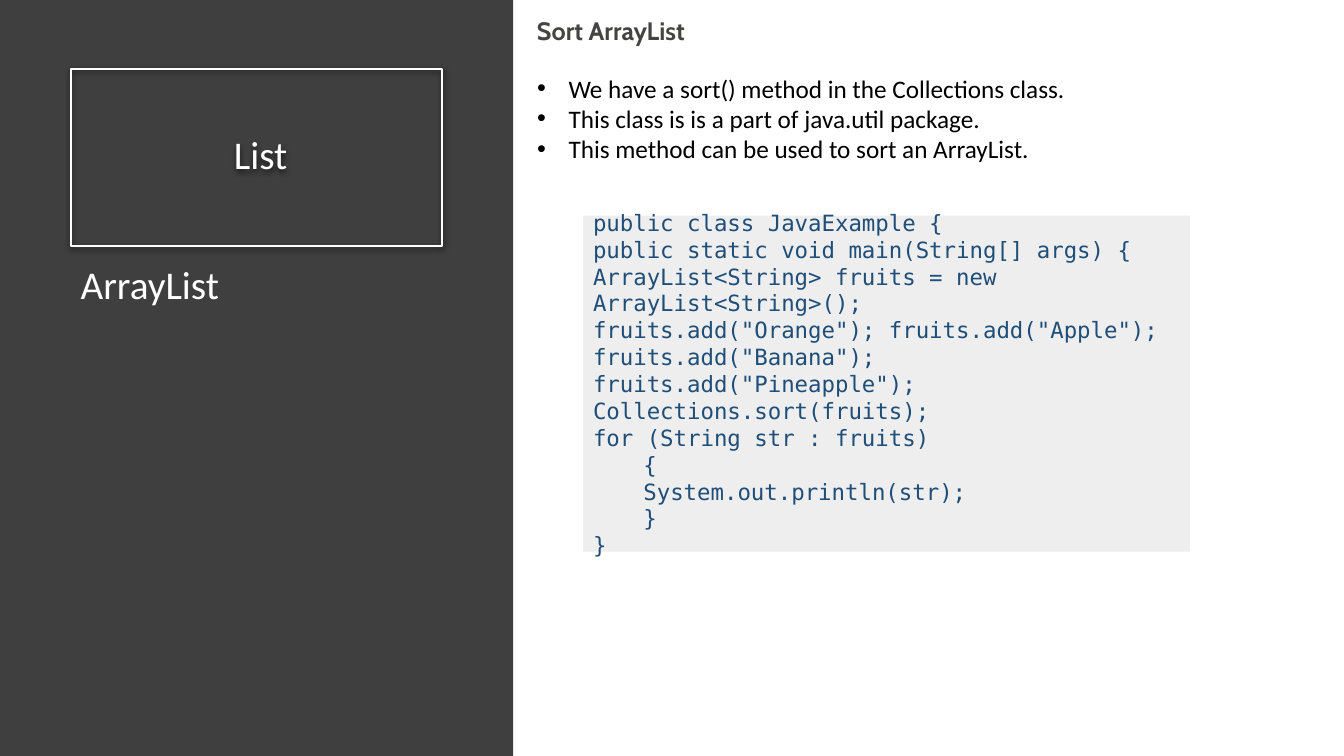
from dataclasses import dataclass
from lxml.etree import SubElement as Sub
from pptx import Presentation
from pptx.dml.color import RGBColor as Color
from pptx.enum.shapes import MSO_SHAPE as Kind
from pptx.enum.text import MSO_ANCHOR as Anchor, MSO_AUTO_SIZE as Fit, PP_ALIGN as Align
from pptx.oxml.ns import qn
from pptx.util import Pt


@dataclass(frozen=True)
class Theme:
    panel: str = "3F3F3F"
    white: str = "FFFFFF"
    black: str = "000000"
    head: str = "444542"
    box: str = "EEEEEE"
    code: str = "1F4E79"
    sans: str = "Calibri"
    bold: str = "Cabin"
    mono: str = "DejaVu Sans Mono"
    big: int = 28
    mid: int = 18
    small: int = 16


def write(frame, text, *, font, size, color, bold=False, align=Align.LEFT,
          anchor=Anchor.TOP, wrap=True, lead=1.0, before=0, indent=0):
    frame.word_wrap = wrap
    frame.auto_size = Fit.NONE
    frame.vertical_anchor = anchor
    for i, line in enumerate(text.split("\n")):
        para = frame.add_paragraph() if i else frame.paragraphs[0]
        para.alignment = align
        para.line_spacing = lead
        para.space_before = Pt(before)
        run = para.add_run()
        run.text = line
        run.font.name = font
        run.font.size = Pt(size)
        run.font.bold = bold
        run.font.color.rgb = Color.from_string(color)
        if indent:
            props = para._p.get_or_add_pPr()
            props.set("marL", str(Pt(indent)))
            props.set("indent", str(-Pt(indent)))
            Sub(props, qn("a:buFont"), typeface="Arial")
            Sub(props, qn("a:buChar"), char="•")


class Deck:
    def __init__(self, theme):
        self.theme = theme
        self.file = Presentation()
        self.file.slide_width = Pt(960)
        self.file.slide_height = Pt(540)
        self.slide = self.file.slides.add_slide(self.file.slide_layouts[5])

    def title(self, text, x, y, w, h, **style):
        shape = self.slide.shapes.title
        shape.left, shape.top, shape.width, shape.height = map(Pt, (x, y, w, h))
        shape.fill.background()
        shape.line.color.rgb = Color.from_string(self.theme.white)
        shape.line.width = Pt(1.5)
        glow = Sub(Sub(shape._element.spPr, qn("a:effectLst")), qn("a:outerShdw"),
                   blurRad=str(Pt(4.5)), dist=str(Pt(1.5)), dir="5400000",
                   algn="ctr", rotWithShape="0")
        tint = Sub(glow, qn("a:srgbClr"), val=self.theme.black)
        Sub(tint, qn("a:alpha"), val="63000")
        write(shape.text_frame, text, **style)

    def block(self, fill, x, y, w, h):
        shape = self.slide.shapes.add_shape(Kind.RECTANGLE, *map(Pt, (x, y, w, h)))
        shape.shadow.inherit = False
        shape.fill.solid()
        shape.fill.fore_color.rgb = Color.from_string(fill)
        shape.line.fill.background()
        return shape

    def panel(self, fill, *area):
        shape = self.block(fill, *area)
        self.slide.shapes.title._element.addprevious(shape._element)

    def label(self, text, x, y, w, h, **style):
        shape = self.slide.shapes.add_textbox(*map(Pt, (x, y, w, h)))
        write(shape.text_frame, text, **style)

    def code(self, text, *area, **style):
        write(self.block(self.theme.box, *area).text_frame, text, **style)


POINTS = """We have a sort() method in the Collections class.
This class is is a part of java.util package.
This method can be used to sort an ArrayList."""

CODE = """public class JavaExample {
public static void main(String[] args) {
ArrayList<String> fruits = new ArrayList<String>();
fruits.add("Orange"); fruits.add("Apple");
fruits.add("Banana"); fruits.add("Pineapple");
Collections.sort(fruits);
for (String str : fruits)
\t{
\tSystem.out.println(str);
\t}
}"""


def main():
    theme = Theme()
    deck = Deck(theme)
    side = dict(font=theme.sans, size=theme.big, color=theme.white, lead=0.9)
    deck.panel(theme.panel, 0, 0, 366.5, 540)
    deck.title(" List", 50.5, 49, 265, 126.5, align=Align.CENTER, anchor=Anchor.MIDDLE, **side)
    deck.label("ArrayList", 50.5, 186.5, 265, 343.5, before=10, **side)
    deck.label("Sort ArrayList", 376.5, 7.5, 135.5, 29, font=theme.bold,
               size=theme.mid, color=theme.head, bold=True, wrap=False)
    deck.label(POINTS, 376.5, 48.5, 480, 72.5, font=theme.sans,
               size=theme.mid, color=theme.black, indent=22.5)
    deck.code(CODE, 416.5, 154, 433.5, 240, font=theme.mono,
              size=theme.small, color=theme.code, anchor=Anchor.MIDDLE)
    deck.file.save("out.pptx")


if __name__ == "__main__":
    main()
